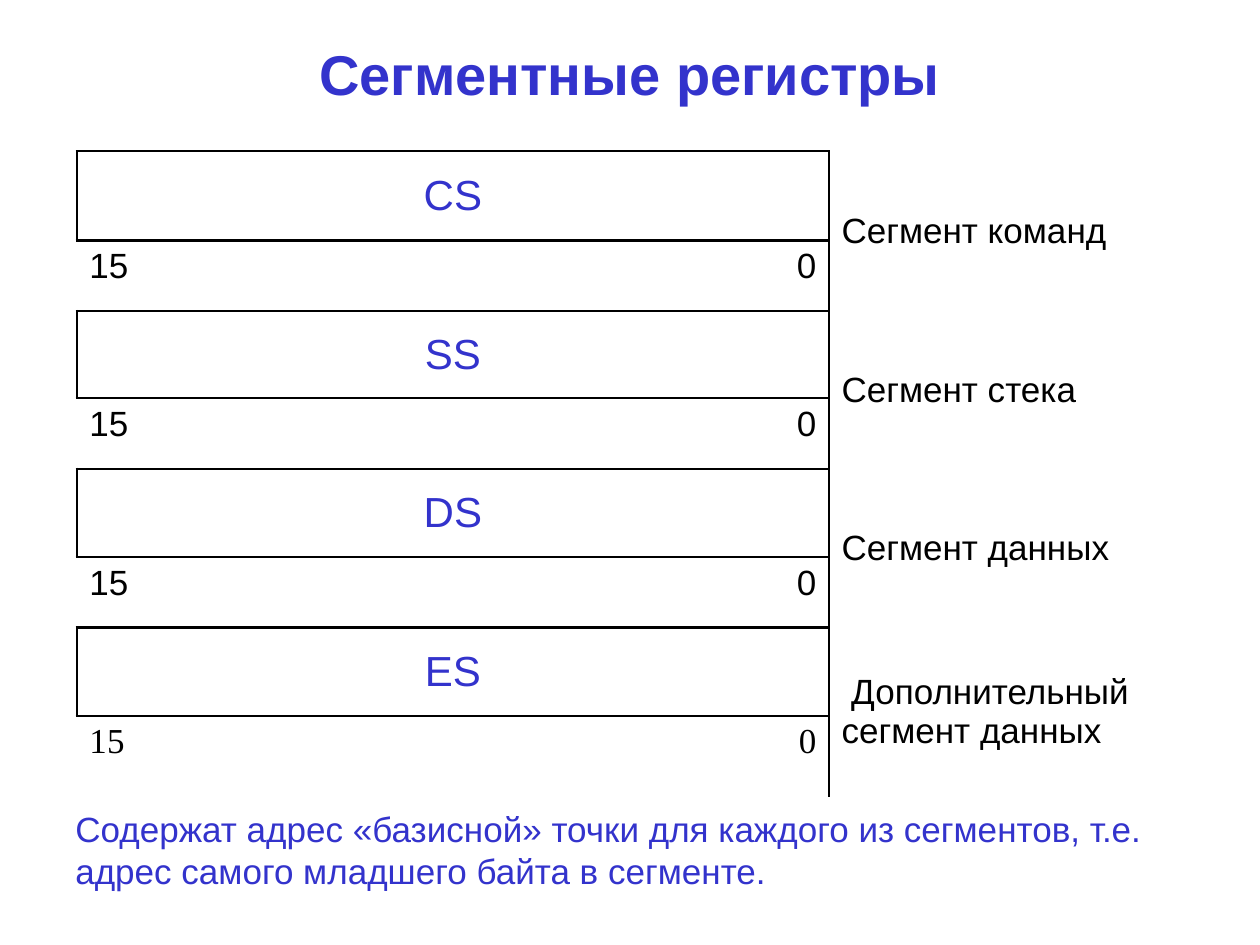
from dataclasses import dataclass

from lxml.etree import SubElement
from pptx import Presentation
from pptx.dml.color import RGBColor
from pptx.enum.text import MSO_ANCHOR as Anchor, MSO_AUTO_SIZE as Fit, PP_ALIGN as Align
from pptx.oxml.ns import qn
from pptx.util import Cm, Pt

BLUE = RGBColor(0x33, 0x33, 0xCC)
BLACK = RGBColor(0, 0, 0)
SANS, SERIF = "Arial", "Times New Roman"
PLAIN = "{2D5ABB26-0587-4C30-8999-92F81FD0307C}"  # table style without grid
LINE = Pt(1.47)
COLS = (3.81, 3.81, 3.81, 3.73, 7.7)
LAST = 3  # last column of a register


@dataclass
class Register:
    name: str
    label: str
    height: float
    gap: float = 1.42
    font: str = SANS


REGS = (
    Register("CS", "Сегмент команд", 1.8),
    Register("SS", "Сегмент стека", 1.76),
    Register("DS", "Сегмент данных", 1.78),
    Register("ES", " Дополнительный сегмент данных", 1.78, 1.63, SERIF),
)


def write(frame, text: str, size: float, color: RGBColor, align=Align.LEFT,
          before: float = 0, font: str = SANS, bold: bool = False) -> None:
    frame.text = text
    para = frame.paragraphs[0]
    para.alignment = align
    para.space_before = Pt(before)
    for run in para.runs:
        run.font.name = font
        run.font.size = Pt(size)
        run.font.bold = bold
        run.font.color.rgb = color


def border(cell, sides: str) -> None:
    """Draw the sides named by letters out of L, R, T, B; clear the others."""
    props = cell._tc.get_or_add_tcPr()
    for spot, side in enumerate("LRTB"):
        line = SubElement(props, qn(f"a:ln{side}"), w=str(LINE))
        if side in sides:
            fill = SubElement(line, qn("a:solidFill"))
            SubElement(fill, qn("a:srgbClr"), val=str(BLACK))
        else:
            SubElement(line, qn("a:noFill"))
        props.insert(spot, line)


def add_reg(table, row: int, reg: Register) -> None:
    table.rows[row].height = Cm(reg.height)
    table.rows[row + 1].height = Cm(reg.gap)

    # Register box over four columns
    box = table.cell(row, 0)
    box.merge(table.cell(row, LAST))
    box.vertical_anchor = Anchor.MIDDLE
    write(box.text_frame, reg.name, 24, BLUE, Align.CENTER, 6)
    border(box, "LRTB")
    for col in range(1, LAST + 1):
        border(table.cell(row, col), "RTB" if col == LAST else "TB")

    # Bit numbers below the box
    for col in range(LAST + 1):
        border(table.cell(row + 1, col), "TR" if col == LAST else "T")
    for col, bit, align in ((0, "15", Align.LEFT), (LAST, "0", Align.RIGHT)):
        frame = table.cell(row + 1, col).text_frame
        write(frame, bit, 20, BLACK, align, 5, reg.font)

    # Label over both rows
    label = table.cell(row, LAST + 1)
    label.merge(table.cell(row + 1, LAST + 1))
    label.vertical_anchor = Anchor.MIDDLE
    write(label.text_frame, reg.label, 20, BLACK, before=5)
    for step in (0, 1):
        border(table.cell(row + step, LAST + 1), "L")


def main() -> None:
    deck = Presentation()
    deck.slide_width, deck.slide_height = Cm(25.4), Cm(19.05)
    slide = deck.slides.add_slide(deck.slide_layouts[5])

    # Title
    title = slide.shapes.title
    title.left, title.top, title.width, title.height = Cm(1.9), Cm(0.84), Cm(21.6), Cm(1.27)
    title.text_frame.auto_size = Fit.NONE
    title.text_frame.vertical_anchor = Anchor.MIDDLE
    write(title.text_frame, "Сегментные регистры", 32, BLUE, Align.CENTER, bold=True)

    # Register table
    tall = sum(reg.height + reg.gap for reg in REGS)
    frame = slide.shapes.add_table(2 * len(REGS), len(COLS), Cm(1.55), Cm(3.05),
                                   Cm(sum(COLS)), Cm(tall))
    table = frame.table
    table.first_row = table.horz_banding = False
    table._tbl.tblPr.find(qn("a:tableStyleId")).text = PLAIN
    for col, width in zip(table.columns, COLS):
        col.width = Cm(width)
    for cell in table.iter_cells():
        cell.fill.background()
    for spot, reg in enumerate(REGS):
        add_reg(table, 2 * spot, reg)

    # Note below the table
    note = slide.shapes.add_textbox(Cm(1.27), Cm(16.15), Cm(22.66), Cm(1.96)).text_frame
    note.word_wrap = True
    write(note, "Содержат адрес «базисной» точки для каждого из сегментов, т.е. "
          "адрес самого младшего байта в сегменте.", 20, BLUE, before=12.5)

    deck.save("out.pptx")


if __name__ == "__main__":
    main()
